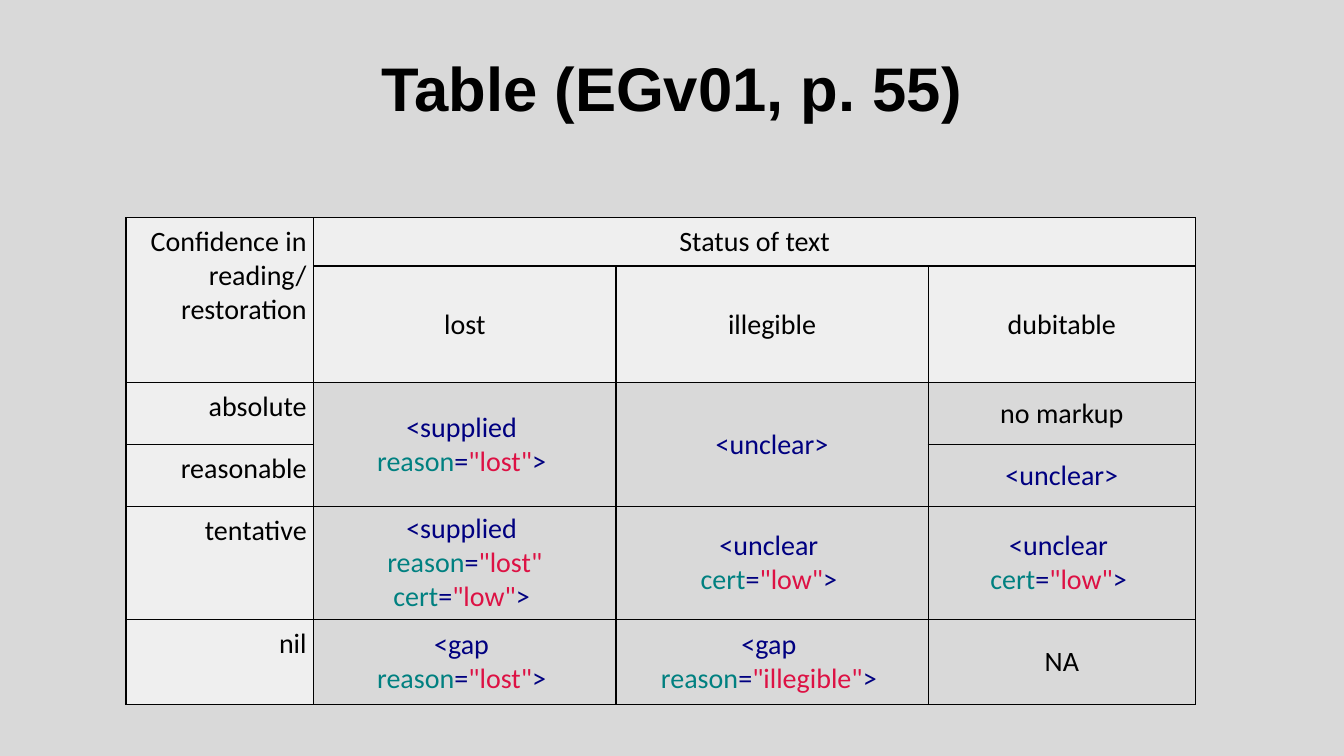
from lxml import etree
from pptx import Presentation
from pptx.dml.color import RGBColor
from pptx.enum.text import MSO_ANCHOR, PP_ALIGN
from pptx.oxml.ns import qn
from pptx.util import Pt

CENTER, RIGHT = PP_ALIGN.CENTER, PP_ALIGN.RIGHT
TOP, MIDDLE = MSO_ANCHOR.TOP, MSO_ANCHOR.MIDDLE
TITLE_ONLY = 5

COLORS = {
    "background": "D9D9D9",
    "header": "EFEFEF",
    "text": "000000",
    "element": "000080",
    "attribute": "008080",
    "value": "DD1144",
}
BREAK = None


def rgb(name):
    return RGBColor.from_string(COLORS[name])


def plain(*lines):
    return [[(line, "text")] for line in lines]


def tag(element, **attributes):
    """Paragraphs of coloured runs for one XML tag."""
    if not attributes:
        return [[(f"<{element}>", "element")]]
    runs = []
    for name, value in attributes.items():
        if runs:
            runs.append((BREAK, "text"))
        runs += [(name, "attribute"), ("=", "element"), (f'"{value}"', "value")]
    return [[(f"<{element} ", "element")], runs + [(">\u00a0", "element")]]


class SlideBuilder:
    title_font, title_size = "Arial", 44
    cell_font, cell_size = "Calibri", 20
    border_width, header_margin = 1, 5

    def __init__(self, presentation):
        self.slide = presentation.slides.add_slide(
            presentation.slide_layouts[TITLE_ONLY])
        fill = self.slide.background.fill
        fill.solid()
        fill.fore_color.rgb = rgb("background")

    def run(self, paragraph, text, color, font, size, bold=False):
        run = paragraph.add_run()
        run.text = text
        run.font.name, run.font.size, run.font.bold = font, Pt(size), bold
        run.font.color.rgb = rgb(color)

    def title(self, text, left, top, width, height):
        title = self.slide.shapes.title
        title.left, title.top = Pt(left), Pt(top)
        title.width, title.height = Pt(width), Pt(height)
        title.text_frame.vertical_anchor = MIDDLE
        paragraph = title.text_frame.paragraphs[0]
        paragraph.alignment, paragraph.line_spacing = CENTER, 0.9
        self.run(paragraph, text, "text", self.title_font, self.title_size, True)

    def table(self, left, top, widths, heights, header_rows):
        table = self.slide.shapes.add_table(
            len(heights), len(widths), Pt(left), Pt(top),
            Pt(sum(widths)), Pt(sum(heights))).table
        for column, width in zip(table.columns, widths):
            column.width = Pt(width)
        for row, height in zip(table.rows, heights):
            row.height = Pt(height)
        for row in range(len(heights)):
            for column in range(len(widths)):
                cell = table.cell(row, column)
                self.borders(cell)
                if row < header_rows or column == 0:
                    cell.fill.solid()
                    cell.fill.fore_color.rgb = rgb("header")
                else:
                    cell.fill.background()
        return table

    def borders(self, cell):
        properties = cell._tc.get_or_add_tcPr()
        for side in ("a:lnL", "a:lnR", "a:lnT", "a:lnB"):
            line = etree.SubElement(properties, qn(side),
                                    w=str(Pt(self.border_width)))
            fill = etree.SubElement(line, qn("a:solidFill"))
            etree.SubElement(fill, qn("a:srgbClr"), val=COLORS["text"])

    def cell(self, cell, paragraphs, align=CENTER, anchor=MIDDLE, margin=0):
        cell.vertical_anchor = anchor
        cell.margin_left = cell.margin_right = Pt(margin)
        cell.margin_top = cell.margin_bottom = Pt(margin)
        frame = cell.text_frame
        for index, runs in enumerate(paragraphs):
            paragraph = frame.add_paragraph() if index else frame.paragraphs[0]
            paragraph.alignment = align
            for text, color in runs:
                if text is BREAK:
                    paragraph.add_line_break()
                else:
                    self.run(paragraph, text, color, self.cell_font, self.cell_size)

    def header(self, cell, paragraphs, align):
        self.cell(cell, paragraphs, align, TOP, self.header_margin)


presentation = Presentation()
presentation.slide_width, presentation.slide_height = Pt(960), Pt(540)
builder = SlideBuilder(presentation)

# Title
builder.title("Table (EGv01, p. 55)", 66, 28.75, 828, 73.5)

# Table grid and merged cells
markup = builder.table(90, 155.5, widths=[134, 216, 223, 191],
                       heights=[34.5, 83, 44.25, 44.25, 80.5, 61], header_rows=2)
for first, last in [((0, 0), (1, 0)), ((0, 1), (0, 3)),
                    ((2, 1), (3, 1)), ((2, 2), (3, 2))]:
    markup.cell(*first).merge(markup.cell(*last))

# Row and column headings
confidence_levels = {
    0: ("Confidence in", "reading/", "restoration"),
    2: ("absolute",),
    3: ("reasonable",),
    4: ("tentative",),
    5: ("nil",),
}
for row, lines in confidence_levels.items():
    builder.header(markup.cell(row, 0), plain(*lines), RIGHT)
builder.header(markup.cell(0, 1), plain("Status of text"), CENTER)

# Statuses and their markup, None where a merged cell continues
uncertain = tag("unclear", cert="low")
status_rows = [
    [plain("lost"), plain("illegible"), plain("dubitable")],
    [tag("supplied", reason="lost"), tag("unclear"), plain("no markup")],
    [None, None, tag("unclear")],
    [tag("supplied", reason="lost", cert="low"), uncertain, uncertain],
    [tag("gap", reason="lost"), tag("gap", reason="illegible"), plain("NA")],
]
for row, statuses in enumerate(status_rows, start=1):
    for column, paragraphs in enumerate(statuses, start=1):
        if paragraphs:
            builder.cell(markup.cell(row, column), paragraphs)

presentation.save("out.pptx")
